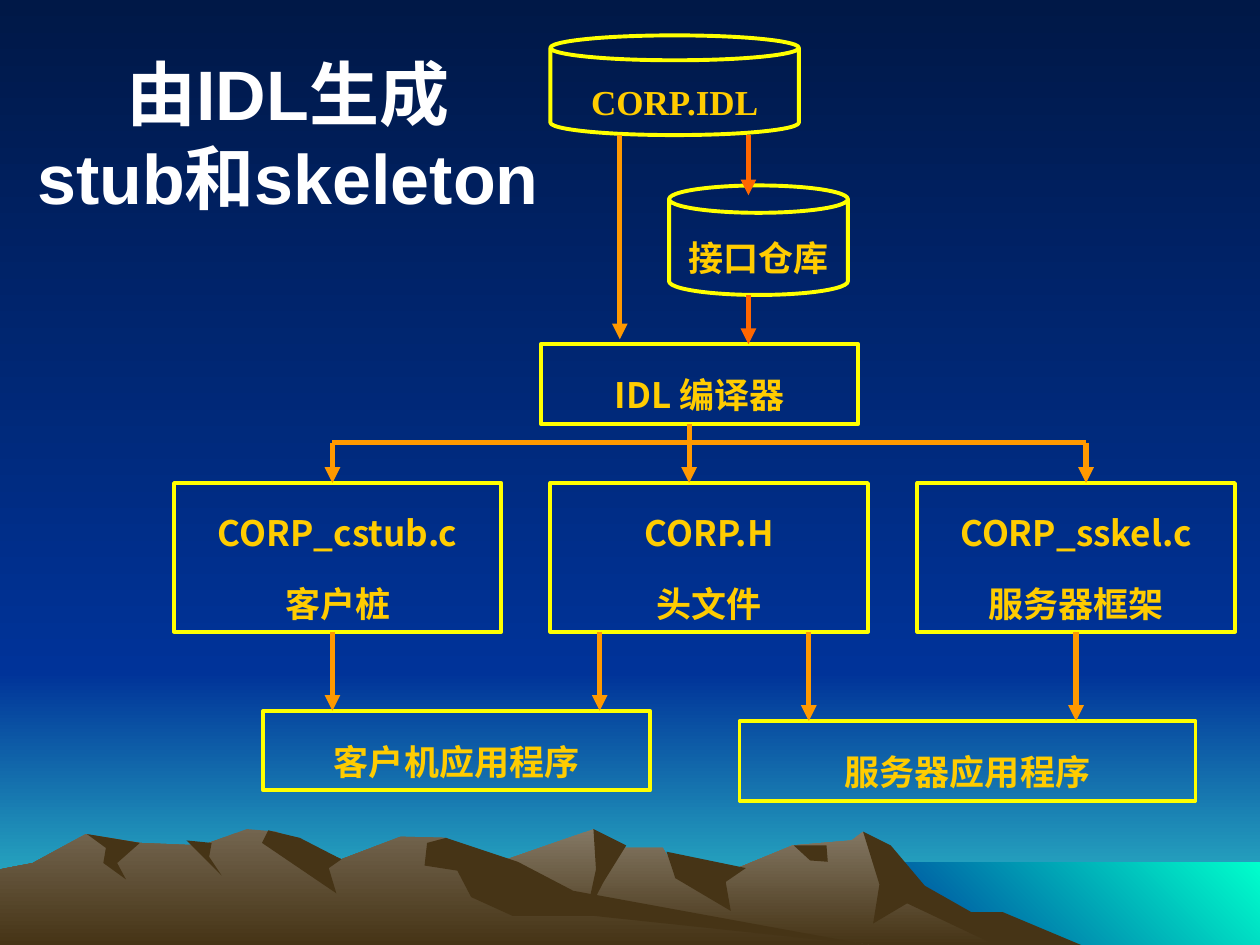
from lxml.etree import SubElement
from pptx import Presentation
from pptx.dml.color import RGBColor
from pptx.enum.shapes import MSO_CONNECTOR, MSO_SHAPE
from pptx.enum.text import MSO_ANCHOR, PP_ALIGN
from pptx.oxml.ns import qn
from pptx.util import Pt

NAVY, BLUE, ROCK = "001847", "003399", "463416"
YELLOW, GOLD, ORANGE, RED = "FFFF00", "FFCC00", "FF9900", "FF6600"
CJK = "Noto Sans CJK SC"

RIDGES = [
    (["847864", ROCK], [
        (820, 92), (764, 65), (723, 40), (685, 2), (676, 9), (629, 13), (566, 39), (536, 32),
        (526, 15), (486, 15), (471, 0), (394, 27), (327, 51), (258, 92)]),
    ([ROCK], [
        (685, 2), (707, 13), (734, 45), (771, 66), (796, 66), (858, 92), (790, 92), (720, 59),
        (693, 75), (698, 44)]),
    ([ROCK], [(471, 0), (497, 13), (479, 42), (465, 69), (473, 32)]),
    ([ROCK], [(529, 18), (592, 31), (576, 42), (580, 65), (536, 39)]),
    ([ROCK], [(630, 13), (656, 13), (657, 26), (643, 25)]),
    (["73654F", ROCK], [
        (690, 92), (432, 54), (354, 7), (318, 6), (271, 24), (219, 2), (196, 0), (160, 13),
        (111, 11), (68, 4), (26, 27), (0, 32), (0, 92)]),
    ([ROCK], [(213, 1), (238, 7), (271, 24), (261, 31), (267, 51), (208, 11)]),
    ([ROCK], [
        (339, 11), (354, 7), (411, 26), (455, 49), (690, 92), (472, 69), (407, 69), (374, 54),
        (363, 33), (337, 29)]),
    ([ROCK], [(148, 9), (168, 11), (166, 22), (176, 37)]),
    ([ROCK], [(69, 4), (111, 11), (93, 27), (100, 40), (82, 27), (84, 15)]),
]


def rgb(value):
    return RGBColor.from_string(value)


def paint(fill, colors, angle=270):
    if len(colors) == 1:
        fill.solid()
        fill.fore_color.rgb = rgb(colors[0])
        return
    fill.gradient()
    fill.gradient_angle = angle
    for stop, color in zip(fill.gradient_stops, colors):
        stop.color.rgb = rgb(color)


def add_run(p, text, name, size, color):
    r = p.add_run()
    r.text = text
    for key, value in {"name": name, "size": Pt(size), "bold": True}.items():
        setattr(r.font, key, value)
    r.font.color.rgb = rgb(color)
    SubElement(r._r.get_or_add_rPr(), qn("a:ea")).set("typeface", CJK)


def panel(s, x, y, w, h, colors, angle=270):
    sp = s.shapes.add_shape(MSO_SHAPE.RECTANGLE, Pt(x), Pt(y), Pt(w), Pt(h))
    sp.shadow.inherit = False
    sp.line.fill.background()
    paint(sp.fill, colors, angle)


def scenery(s, x, y, w, h):
    sky, land, sea = 384, 156, 47
    panel(s, x, y + sky, w, land, [BLUE, "33CCCC"])
    panel(s, x, y, w, sky, [NAVY, BLUE])
    panel(s, x + 492, y + h - sea, w - 492, sea, [BLUE, "00FFCC"], 45)


def mountains(s, x, y, w):
    for colors, points in RIDGES:
        builder = s.shapes.build_freeform(*points[0], scale=Pt(w / 1000))
        builder.add_line_segments(points[1:], close=True)
        sp = builder.convert_to_shape(Pt(x), Pt(y))
        sp.shadow.inherit = False
        sp.line.fill.background()
        paint(sp.fill, colors)


def title(s, x, y, w, h):
    tf = s.shapes.add_textbox(Pt(x), Pt(y), Pt(w), Pt(h)).text_frame
    tf.word_wrap = True
    tf.vertical_anchor = MSO_ANCHOR.MIDDLE
    p = tf.paragraphs[0]
    p.alignment = PP_ALIGN.CENTER
    add_run(p, "由IDL生成", "Arial", 40, "FFFFFF")
    p.add_line_break()
    add_run(p, "stub和skeleton", "Arial", 40, "FFFFFF")


def node(s, x, y, w, h, lines, kind=MSO_SHAPE.RECTANGLE, name=CJK):
    sp = s.shapes.add_shape(kind, Pt(x), Pt(y), Pt(w), Pt(h))
    sp.shadow.inherit = False
    sp.fill.background()
    sp.line.color.rgb = rgb(YELLOW)
    sp.line.width = Pt(2.25)
    tf = sp.text_frame
    tf.word_wrap = False
    tf.vertical_anchor = MSO_ANCHOR.MIDDLE
    for i, text in enumerate(lines):
        p = tf.add_paragraph() if i else tf.paragraphs[0]
        fmt = {"alignment": PP_ALIGN.CENTER, "line_spacing": 1.5, "space_before": Pt(5 if i else 0)}
        for key, value in fmt.items():
            setattr(p, key, value)
        add_run(p, text, name, 20, GOLD)
    return sp


def link(s, x1, y1, x2, y2, color=ORANGE, arrow=True):
    c = s.shapes.add_connector(MSO_CONNECTOR.STRAIGHT, x1, y1, x2, y2)
    c.line.color.rgb = rgb(color)
    c.line.width = Pt(3)
    if arrow:
        SubElement(c.line._get_or_add_ln(), qn("a:tailEnd")).set("type", "triangle")
    SubElement(c._element.spPr, qn("a:effectLst"))


def diagram(s, x, y):
    can, serif, bar = MSO_SHAPE.CAN, "Times New Roman", 45.5
    idl = node(s, x + 215, y, 142, 57, ["CORP.IDL"], can, serif)
    store = node(s, x + 282.8, y + 85.8, 102.2, 62.6, ["接口仓库"], can, serif)
    compiler = node(s, x + 209.5, y + 176.5, 181.5, bar, ["IDL 编译器"])
    stub, header, skeleton = [
        node(s, x + left, y + 255.8, width, 85, lines)
        for left, width, lines in [
            (0, 187, ["CORP_cstub.c", "客户桩"]),
            (215, 181.5, ["CORP.H", "头文件"]),
            (424.7, 181.5, ["CORP_sskel.c", "服务器框架"]),
        ]
    ]
    client = node(s, x + 51, y + 386, 221, bar, ["客户机应用程序"])
    server = node(s, x + 323.1, y + 391.8, 260.6, bar, ["服务器应用程序"])

    for left, start, end, shift, color in [
        (328.2, idl, store, 5.6, RED), (254.7, idl, compiler, -2.8, ORANGE),
        (328.2, store, compiler, 0, RED), (294.3, compiler, header, 0, ORANGE),
        (90.5, stub, client, 0, ORANGE), (243.2, header, client, 0, ORANGE),
        (362.7, header, server, 0, ORANGE), (515.4, skeleton, server, 0, ORANGE),
    ]:
        link(s, Pt(x + left), start.top + start.height, Pt(x + left), end.top + Pt(shift), color)

    bus, ends = Pt(y + 232.7), [Pt(x + 90.5), Pt(x + 521.1)]
    link(s, ends[0], bus, ends[1], bus, arrow=False)
    for end in ends:
        link(s, end, bus, end, stub.top)


def main():
    prs = Presentation()
    prs.slide_width, prs.slide_height = Pt(720), Pt(540)
    s = prs.slides.add_slide(prs.slide_layouts[6])
    paint(s.background.fill, [NAVY, BLUE])
    scenery(s, 0, 0, 720, 540)
    mountains(s, 0, 473.76, 720)
    title(s, 0, 31.7, 329, 90)
    diagram(s, 99.5, 20.2)
    prs.save("out.pptx")


if __name__ == "__main__":
    main()
